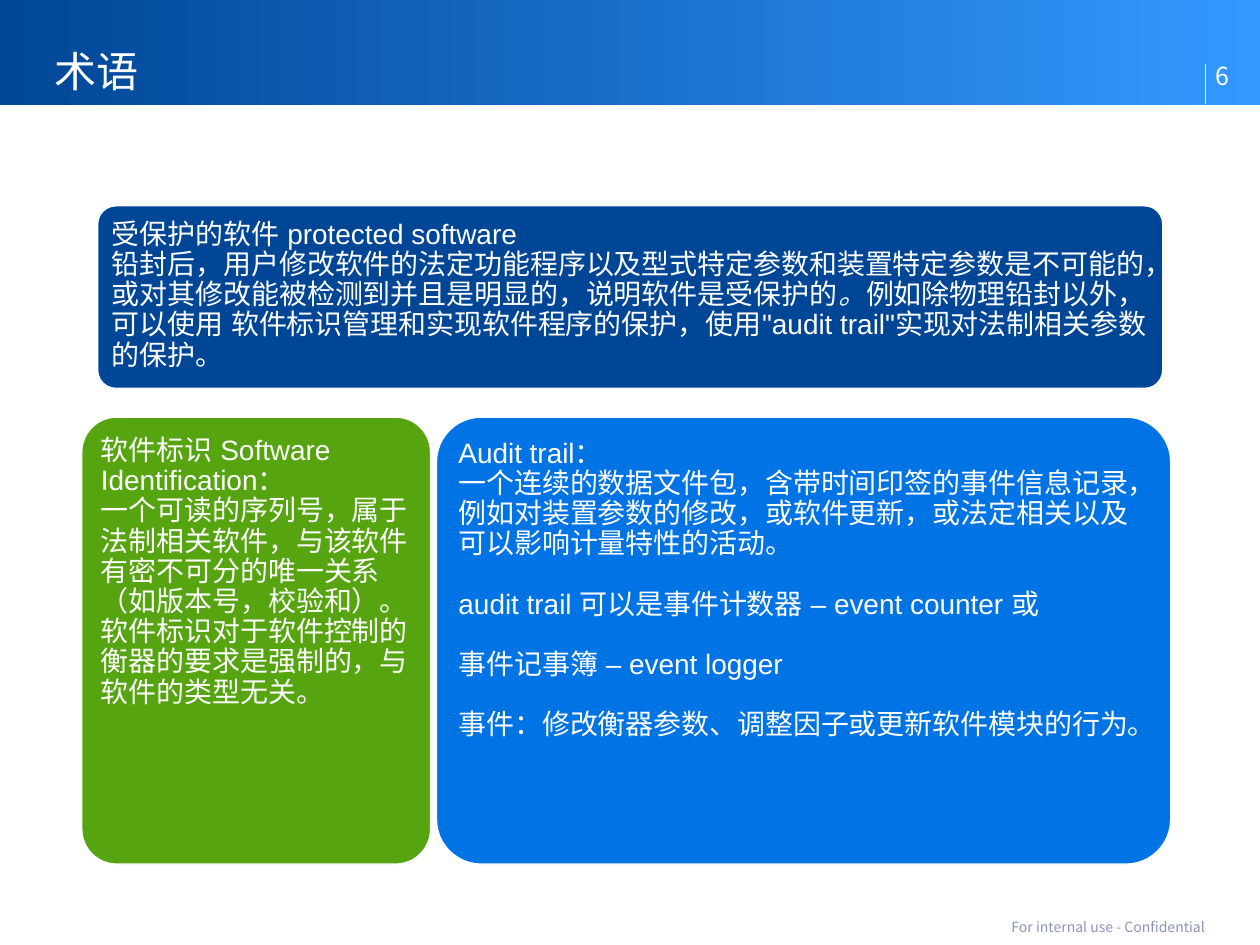
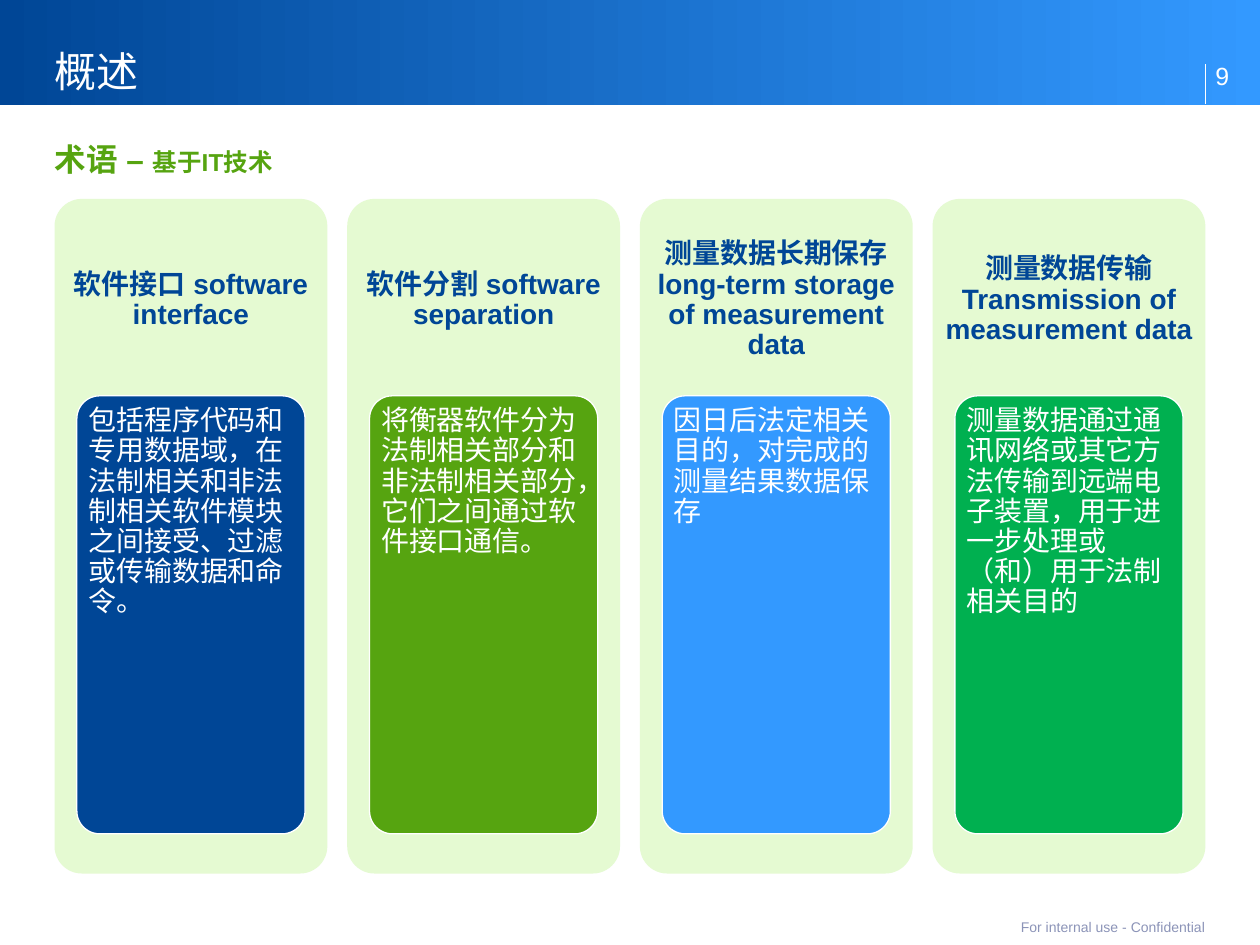
from lxml import etree
from pptx import Presentation, util as u
from pptx.dml import color
from pptx.enum import shapes, text
from pptx.oxml import ns

NAVY, GREEN, BLUE, SKY = "004696", "56A410", "0073E5", "3399FF"
EMERALD, MINT, WHITE, GREY = "00B050", "E5FAD2", "FFFFFF", "8C94B8"
LATIN, CJK = "Arial", "Noto Sans CJK SC"
LEFT, CONTENT_WIDTH = 1.1, 23.2
COLUMN_WIDTH, COLUMN_COUNT = 5.5, 4
COLUMN_GAP = (CONTENT_WIDTH - COLUMN_COUNT * COLUMN_WIDTH) / (COLUMN_COUNT - 1)
BOX_WIDTH = 4.6
CARD_INSETS = (0.18,) * 4
BOX_INSETS = (0.1, 0.08, 0.1, 0.08)

PROTECTED = [[
    ("受保护的软件 protected software\v铅封后，用户修改软件的法定功能程序以及型式特定参数"
     "和装置特定参数是不可能的，或对其修改能被检测到并且是明显的，说明软件是受保护的", {}),
    ("。", {"italic": True}),
    ("例如除物理铅封以外，可以使用 软件标识管理和实现软件程序的保护，使用\"audit trail\""
     "实现对法制相关参数的保护。", {}),
]]
IDENTIFICATION = [[
    ("软件标识 Software Identification：\v一个可读的序列号，属于法制相关软件，与该软件"
     "有密不可分的唯一关系（如版本号，校验和）。软件标识对于软件控制的衡器的要求是强制的，"
     "与软件的类型无关。", {}),
]]
AUDIT_TRAIL = [
    [("Audit trail：\v一个连续的数据文件包，含带时间印签的事件信息记录，例如对装置参数的修改，"
      "或软件更新，或法定相关以及可以影响计量特性的活动。", {})],
    [("audit trail 可以是事件计数器 – event counter 或", {})],
    [("事件记事簿 – event logger", {})],
    [("事件：修改衡器参数、调整因子或更新软件模块的行为。", {})],
]
CARDS = [
    ((1.97, 4.15, 21.47, 3.68), NAVY, PROTECTED),
    ((1.65, 8.41, 7.03, 9.01), GREEN, IDENTIFICATION),
    ((8.8, 8.41, 14.8, 9.01), BLUE, AUDIT_TRAIL),
]
COLUMNS = [
    ("软件接口 software interface", NAVY,
     "包括程序代码和专用数据域，在法制相关和非法制相关软件模块之间接受、过滤或传输数据和命令。"),
    ("软件分割 software separation", GREEN,
     "将衡器软件分为法制相关部分和非法制相关部分，它们之间通过软件接口通信。"),
    ("测量数据长期保存 long-term storage of measurement data", SKY,
     "因日后法定相关目的，对完成的测量结果数据保存"),
    ("测量数据传输 Transmission of measurement data", EMERALD,
     "测量数据通过通讯网络或其它方法传输到远端电子装置，用于进一步处理或（和）用于法制相关目的"),
]


def rgb(value):
    """Turn a hex string into a colour."""
    return color.RGBColor.from_string(value)


def lengths(values):
    """Turn numbers into centimetre lengths."""
    return [u.Cm(value) for value in values]


def place(shape, box):
    """Move and size a shape."""
    shape.left, shape.top, shape.width, shape.height = lengths(box)


def add_run(paragraph, content, size, fill, font=LATIN, bold=False, italic=False):
    """Append one formatted run; a vertical tab starts a new line."""
    for index, line in enumerate(content.split("\v")):
        if index:
            paragraph.add_line_break()
        run = paragraph.add_run()
        run.text = line
        run.font.size, run.font.name = u.Pt(size), font
        run.font.bold, run.font.italic = bold, italic
        run.font.color.rgb = rgb(fill)
        east_asian = etree.SubElement(run.font._element, ns.qn("a:ea"))
        east_asian.set("typeface", font)


def write(shape, paragraphs, size, fill, insets, anchor="TOP", align="LEFT",
          spacing=None, after=0, **style):
    """Fill a shape with paragraphs of (text, style) runs."""
    frame = shape.text_frame
    frame.word_wrap = True
    frame.auto_size = text.MSO_AUTO_SIZE.NONE
    frame.vertical_anchor = text.MSO_ANCHOR[anchor]
    (frame.margin_left, frame.margin_top,
     frame.margin_right, frame.margin_bottom) = lengths(insets)
    for index, runs in enumerate(paragraphs):
        paragraph = frame.add_paragraph() if index else frame.paragraphs[0]
        paragraph.alignment = text.PP_ALIGN[align]
        paragraph.line_spacing = spacing
        paragraph.space_before, paragraph.space_after = u.Pt(0), u.Pt(after)
        for content, extra in runs:
            add_run(paragraph, content, size, fill, **{**style, **extra})


def add_text(slide, box, content, *args, **style):
    """Add a text box with a single run."""
    shape = slide.shapes.add_textbox(*lengths(box))
    write(shape, [[(content, {})]], *args, **style)


def add_panel(slide, box, fill, outlined=True):
    """Add a rounded panel."""
    shape = slide.shapes.add_shape(shapes.MSO_SHAPE.ROUNDED_RECTANGLE, *lengths(box))
    shape.adjustments[0] = 0.1
    shape.shadow.inherit = False
    shape.fill.solid()
    shape.fill.fore_color.rgb = rgb(fill)
    if outlined:
        shape.line.color.rgb = rgb(WHITE)
        shape.line.width = u.Pt(0)
    else:
        shape.line.fill.background()
    return shape


def add_master_band(presentation, slide):
    """Draw the header band and divider and move them to the master."""
    band = slide.shapes.add_shape(shapes.MSO_SHAPE.RECTANGLE,
                                  *lengths((0, 0, 25.4, 2.12)))
    band.shadow.inherit = False
    band.line.fill.background()
    band.fill.gradient()
    band.fill.gradient_angle = 0
    for stop, position, value in zip(band.fill.gradient_stops, (0, 1), (NAVY, SKY)):
        stop.position = position
        stop.color.rgb = rgb(value)
    divider = slide.shapes.add_connector(shapes.MSO_CONNECTOR.STRAIGHT,
                                         *lengths((24.3, 2.1, 24.3, 1.3)))
    divider.line.color.rgb = rgb(WHITE)
    divider.line.width = u.Pt(0.5)
    etree.SubElement(divider._element.spPr, ns.qn("a:effectLst"))
    for number, shape in enumerate((band, divider), 101):
        shape._element.xpath(".//p:cNvPr")[0].set("id", str(number))
        presentation.slide_master.element.cSld.spTree.append(shape._element)


def add_frame(slide, title, number, title_font, small_font):
    """Write the title, page number and footer."""
    place(slide.shapes.title, (LEFT, 0.53, 19.2, 1.6))
    write(slide.shapes.title, [[(title, {})]], 24, WHITE, (0, 0, 0, 0.2),
          anchor="BOTTOM", spacing=u.Pt(26), font=title_font)
    add_text(slide, (24.3, 0.91, 1.1, 1.19), number, 14.2, WHITE,
             (0.2, 0, 0, 0.28), anchor="BOTTOM", font=small_font)
    add_text(slide, (LEFT, 18.47, CONTENT_WIDTH, 0.43),
             "For internal use - Confidential", 8, GREY, (0, 0.13, 0, 0.13),
             anchor="MIDDLE", align="RIGHT", font=small_font)


def add_subtitle(slide):
    """Write the subtitle in the body placeholder without a bullet."""
    body = slide.placeholders[1]
    place(body, (LEFT, 2.82, CONTENT_WIDTH, 0.91))
    write(body, [[("术语 – ", {}), ("基于IT技术", {})]], 18, GREEN,
          (0, 0, 0, 0.2), bold=True)
    paragraph = body.text_frame.paragraphs[0]
    paragraph.runs[1].font.size = u.Pt(14)
    properties = paragraph._p.get_or_add_pPr()
    properties.set("marL", "0")
    properties.set("indent", "0")
    etree.SubElement(properties, ns.qn("a:buNone"))


def add_column(slide, index, heading, fill, content):
    """Add one column: panel, heading and coloured box."""
    left = LEFT + index * (COLUMN_WIDTH + COLUMN_GAP)
    add_panel(slide, (left, 4.01, COLUMN_WIDTH, 13.6), MINT, outlined=False)
    add_text(slide, (left, 4.01, COLUMN_WIDTH, 4.08), heading, 16, NAVY, CARD_INSETS,
             anchor="MIDDLE", align="CENTER", spacing=0.9, bold=True)
    box_left = left + (COLUMN_WIDTH - BOX_WIDTH) / 2
    box = add_panel(slide, (box_left, 7.98, BOX_WIDTH, 8.83), fill)
    write(box, [[(content, {})]], 16, WHITE, BOX_INSETS, spacing=0.9)


def main():
    """Build both slides and save the presentation."""
    presentation = Presentation()
    presentation.slide_width, presentation.slide_height = lengths((25.4, 19.05))
    layouts = presentation.slide_layouts

    terms = presentation.slides.add_slide(layouts.get_by_name("Title Only"))
    add_master_band(presentation, terms)
    add_frame(terms, "术语", "6", CJK, CJK)
    for box, fill, paragraphs in CARDS:
        write(add_panel(terms, box, fill), paragraphs, 16, WHITE, CARD_INSETS,
              spacing=0.9, after=17.2)

    overview = presentation.slides.add_slide(layouts.get_by_name("Title and Content"))
    add_frame(overview, "概述", "9", LATIN, LATIN)
    add_subtitle(overview)
    for index, column in enumerate(COLUMNS):
        add_column(overview, index, *column)

    presentation.save("out.pptx")


main()
